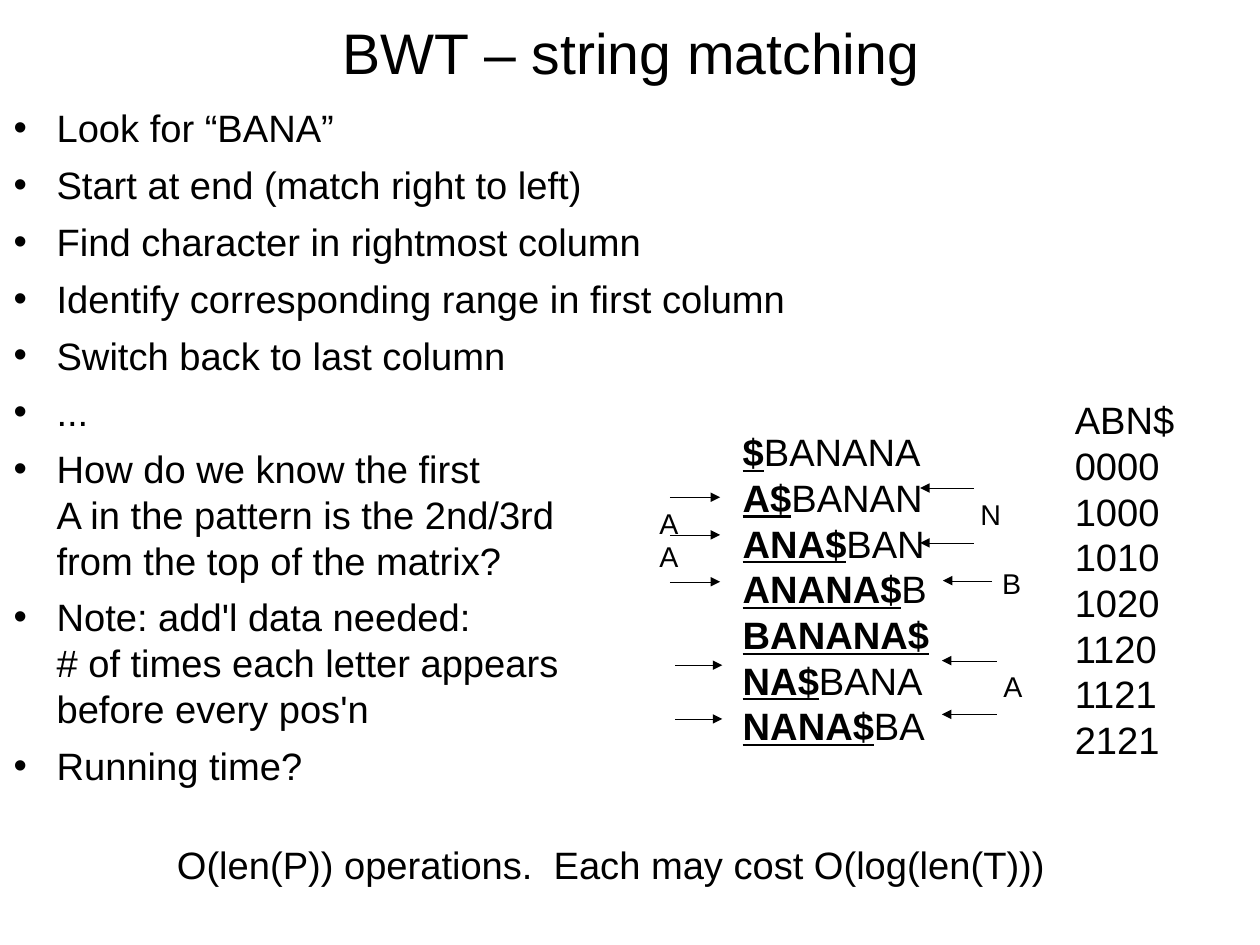
import copy

import lxml.etree
import pptx
import pptx.dml.color
import pptx.enum.shapes
import pptx.enum.text
import pptx.oxml.ns
import pptx.util

COLOURS = {"ink": "000000", "paper": "FFFFFF"}
CELL = 0.1  # inches per grid column and per grid row
HAIRLINE = 0.01  # points
AUTO = pptx.enum.text.MSO_AUTO_SIZE

STEPS = [
    "Look for “BANA”",
    "Start at end (match right to left)",
    "Find character in rightmost column",
    "Identify corresponding range in first column",
    "Switch back to last column",
    "...",
    "How do we know the first\nA in the pattern is the 2nd/3rd\nfrom the top of the matrix?",
    "Note: add'l data needed: \n# of times each letter appears\nbefore every pos'n",
    "Running time?",
]
COUNTS = ["ABN$", "0000", "1000", "1010", "1020", "1120", "1121", "2121"]
# Sorted rotations of the text, split after the end marker
ROTATIONS = [("$", "BANANA"), ("A$", "BANAN"), ("ANA$", "BAN"), ("ANANA$", "B"),
             ("BANANA$", ""), ("NA$", "BANA"), ("NANA$", "BA")]
# Start column, end column, rows
ARROWS = [
    (58.6, 63.0, (43.5, 46.8, 50.9)),
    (59.1, 63.2, (58.2, 62.9)),
    (85.2, 80.5, (42.7, 47.5)),
    (86.8, 82.5, (50.8,)),
    (87.2, 82.4, (57.8, 62.5)),
]
LETTERS = [("A", 56.7, 43.8), ("A", 56.7, 46.7), ("N", 84.8, 43.0),
           ("B", 86.7, 49.0), ("A", 86.8, 58.0)]


def cells(count):
    return pptx.util.Inches(count * CELL)


def colour(name):
    return pptx.dml.color.RGBColor.from_string(COLOURS[name])


def add_xml(parent, tag, **attributes):
    return lxml.etree.SubElement(parent, pptx.oxml.ns.qn(tag), attributes)


class Page:
    font = "Arial"

    def __init__(self, deck):
        self.slide = deck.slides.add_slide(deck.slide_layouts[1])
        fill = self.slide.background.fill
        fill.solid()
        fill.fore_color.rgb = colour("paper")

    def style(self, span, size):
        span.font.name = self.font
        span.font.size = pptx.util.Pt(size)
        span.font.color.rgb = colour("ink")

    def style_all(self, frame, size):
        for para in frame.paragraphs:
            for span in para.runs:
                self.style(span, size)

    def placeholder(self, index, left, top, width, height):
        box = self.slide.placeholders[index]
        box.left, box.top, box.width, box.height = map(cells, (left, top, width, height))
        frame = box.text_frame
        frame.margin_left = frame.margin_top = frame.margin_right = frame.margin_bottom = 0
        frame.auto_size = AUTO.NONE
        return frame

    def title(self, words, *place):
        frame = self.placeholder(0, *place)
        frame.text = words
        frame.vertical_anchor = pptx.enum.text.MSO_ANCHOR.MIDDLE
        frame.paragraphs[0].alignment = pptx.enum.text.PP_ALIGN.CENTER
        self.style_all(frame, 36)

    def bullets(self, items, *place):
        frame = self.placeholder(1, *place)
        indent = cells(3.75)
        for number, item in enumerate(items):
            para = frame.add_paragraph() if number else frame.paragraphs[0]
            para.text = item
            para.space_before = pptx.util.Pt(7)
            for span in para.runs:
                self.style(span, 24)
            # Line breaks take the size of the text around them
            for line_break in para._p.findall(pptx.oxml.ns.qn("a:br")):
                line_break.insert(0, copy.deepcopy(para.runs[0]._r.rPr))
            settings = para._p.get_or_add_pPr()
            settings.set("marL", str(indent))
            settings.set("indent", str(-indent))
            add_xml(add_xml(settings, "a:buClr"), "a:srgbClr", val=COLOURS["ink"])
            add_xml(settings, "a:buFont", typeface=self.font)
            add_xml(settings, "a:buChar", char="•")

    def text_box(self, left, top, width, height, wrap=True):
        box = self.slide.shapes.add_textbox(*map(cells, (left, top, width, height)))
        box.text_frame.word_wrap = wrap
        box.text_frame.auto_size = AUTO.SHAPE_TO_FIT_TEXT
        return box.text_frame

    def text(self, words, size, *place, wrap=True):
        frame = self.text_box(*place, wrap=wrap)
        frame.text = words
        self.style_all(frame, size)

    def rotations(self, rows, *place):
        frame = self.text_box(*place, wrap=False)
        for number, (prefix, rest) in enumerate(rows):
            para = frame.add_paragraph() if number else frame.paragraphs[0]
            for words, marked in ((prefix, True), (rest, False)):
                if words:
                    span = para.add_run()
                    span.text = words
                    self.style(span, 24)
                    span.font.bold = span.font.underline = marked

    def arrow(self, start, end, row):
        line = self.slide.shapes.add_connector(
            pptx.enum.shapes.MSO_CONNECTOR.STRAIGHT,
            cells(start), cells(row), cells(end), cells(row))
        line.line.color.rgb = colour("ink")
        line.line.width = pptx.util.Pt(HAIRLINE)
        add_xml(line.line._get_or_add_ln(), "a:tailEnd", type="triangle")
        add_xml(line._element.spPr, "a:effectLst")


def main():
    deck = pptx.Presentation()
    deck.slide_width, deck.slide_height = pptx.util.Cm(28), pptx.util.Cm(21)
    page = Page(deck)

    # Title and steps
    page.title("BWT – string matching", 1.4, 0.7, 107.6, 7.7)
    page.bullets(STEPS, 1.2, 9.15, 107.9, 69.6)

    # Running time, letter counts and rotation matrix
    page.text("O(len(P)) operations.  Each may cost O(log(len(T)))", 24, 14.5, 73.1, 86, 5.5)
    page.text("\n".join(COUNTS), 24, 93.05, 34.2, 13.1, 36.4)
    page.rotations(ROTATIONS, 64, 37, 18.3, 27)

    # Arrows to matching rows, with their letters
    for start, end, rows in ARROWS:
        for row in rows:
            page.arrow(start, end, row)
    for letter, left, top in LETTERS:
        page.text(letter, 18, left, top, 4, 4.4, wrap=False)

    deck.save("out.pptx")


if __name__ == "__main__":
    main()
